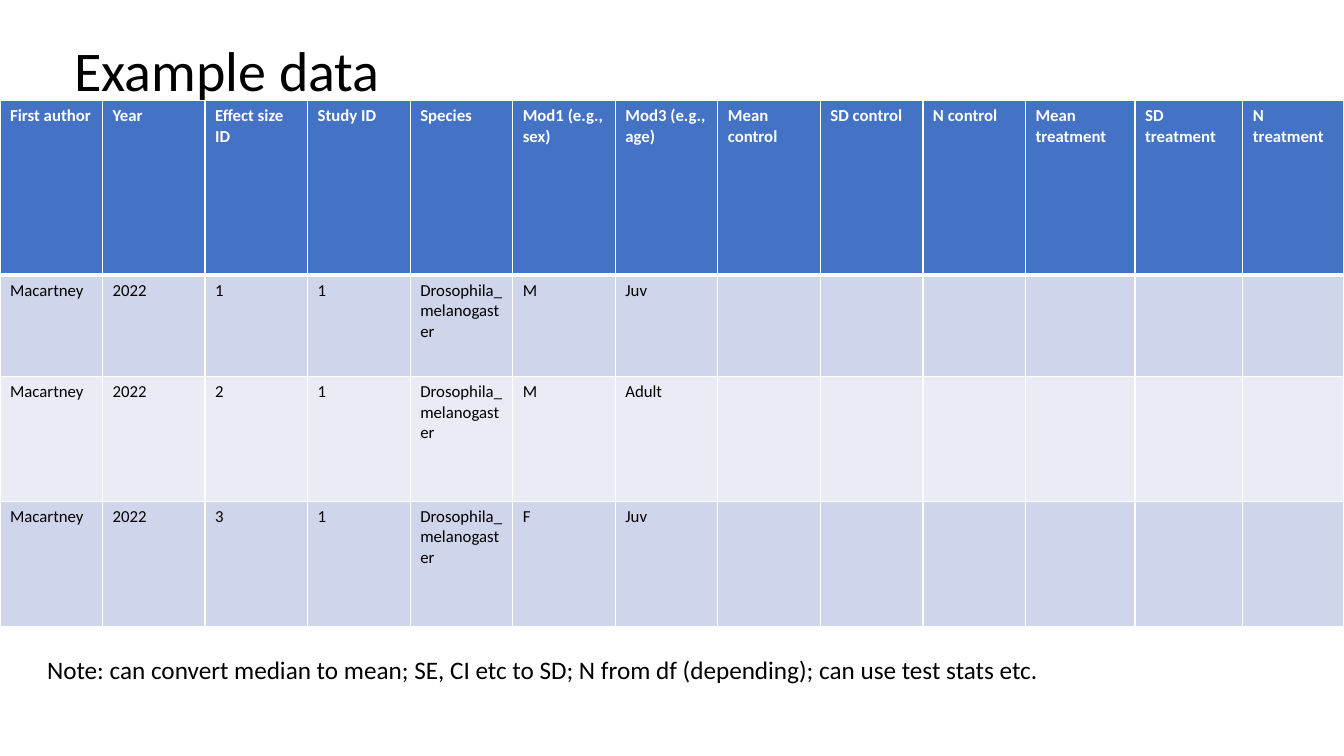
import pptx
import pptx.dml.color
import pptx.enum.text
import pptx.oxml
import pptx.oxml.ns
import pptx.util

Pt = pptx.util.Pt
ANCHOR = pptx.enum.text.MSO_ANCHOR
COLORS = {
    "ink": "000000",
    "white": "FFFFFF",
    "head": "4472C4",
    "odd": "CFD5EA",
    "even": "E9EBF5",
}


def rgb(name):
    return pptx.dml.color.RGBColor.from_string(COLORS[name])


class Page:
    font = "Calibri"

    def __init__(self, slide):
        self.slide = slide

    def words(self, frame, text, size, color="ink", bold=False, gap=1.0):
        para = frame.paragraphs[0]
        para.line_spacing = gap
        target = para.font
        if text:
            run = para.add_run()
            run.text = text
            target = run.font
        form = {"name": self.font, "size": Pt(size), "bold": bold}
        for key, value in form.items():
            setattr(target, key, value)
        target.color.rgb = rgb(color)

    def label(self, box, text, size, anchor=ANCHOR.TOP, gap=1.0):
        frame = self.slide.shapes.add_textbox(*map(Pt, box)).text_frame
        form = {"word_wrap": True, "vertical_anchor": anchor}
        for key, value in form.items():
            setattr(frame, key, value)
        self.words(frame, text, size, gap=gap)

    def border(self, cell, widths):
        props = cell._tc.get_or_add_tcPr()
        for side, width in widths.items():
            props.append(pptx.oxml.parse_xml(
                f'<a:ln{side} {pptx.oxml.ns.nsdecls("a")} w="{Pt(width)}">'
                f'<a:solidFill><a:srgbClr val="{COLORS["white"]}"/>'
                f'</a:solidFill></a:ln{side}>'))

    def grid(self, left, top, cols, rows, data):
        table = self.slide.shapes.add_table(
            len(rows), len(cols), Pt(left), Pt(top),
            Pt(sum(cols)), Pt(sum(rows))).table
        for col, width in zip(table.columns, cols):
            col.width = Pt(width)
        for row, height in zip(table.rows, rows):
            row.height = Pt(height)
        for r, line in enumerate(data):
            head = r == 0
            fill = "head" if head else "odd" if r % 2 else "even"
            # Thick rule between the header and the first data row
            widths = {"L": 1, "R": 1,
                      "T": 3 if r == 1 else 1, "B": 3 if head else 1}
            for c in range(len(cols)):
                cell = table.cell(r, c)
                self.border(cell, widths)
                cell.fill.solid()
                cell.fill.fore_color.rgb = rgb(fill)
                text = line[c] if c < len(line) else ""
                self.words(cell.text_frame, text, 12,
                           "white" if head else "ink", head)


def main():
    deck = pptx.Presentation()
    deck.slide_width, deck.slide_height = Pt(960), Pt(540)
    page = Page(deck.slides.add_slide(deck.slide_layouts[6]))

    # Title
    page.label((46, 0, 828, 104.4), "Example data", 40, ANCHOR.MIDDLE, 0.9)

    # Data table: the measured columns stay empty
    heads = ["First author", "Year", "Effect size ID", "Study ID", "Species",
             "Mod1 (e.g., sex)", "Mod3 (e.g., age)", "Mean control",
             "SD control", "N control", "Mean treatment", "SD treatment",
             "N treatment"]
    cases = [("M", "Juv"), ("M", "Adult"), ("F", "Juv")]
    data = [heads] + [
        ["Macartney", "2022", str(i), "1", "Drosophila_melanogaster", *case]
        for i, case in enumerate(cases, 1)]
    cols = [73.25] * 10 + [78.3, 77, 72.2]
    page.grid(0, 72, cols, [124.5, 72.5, 89.25, 89.25], data)

    # Note
    page.label((26.5, 463.7, 824, 29),
               "Note: can convert median to mean; SE, CI etc to SD; "
               "N from df (depending); can use test stats etc.", 18)

    deck.save("out.pptx")


if __name__ == "__main__":
    main()
